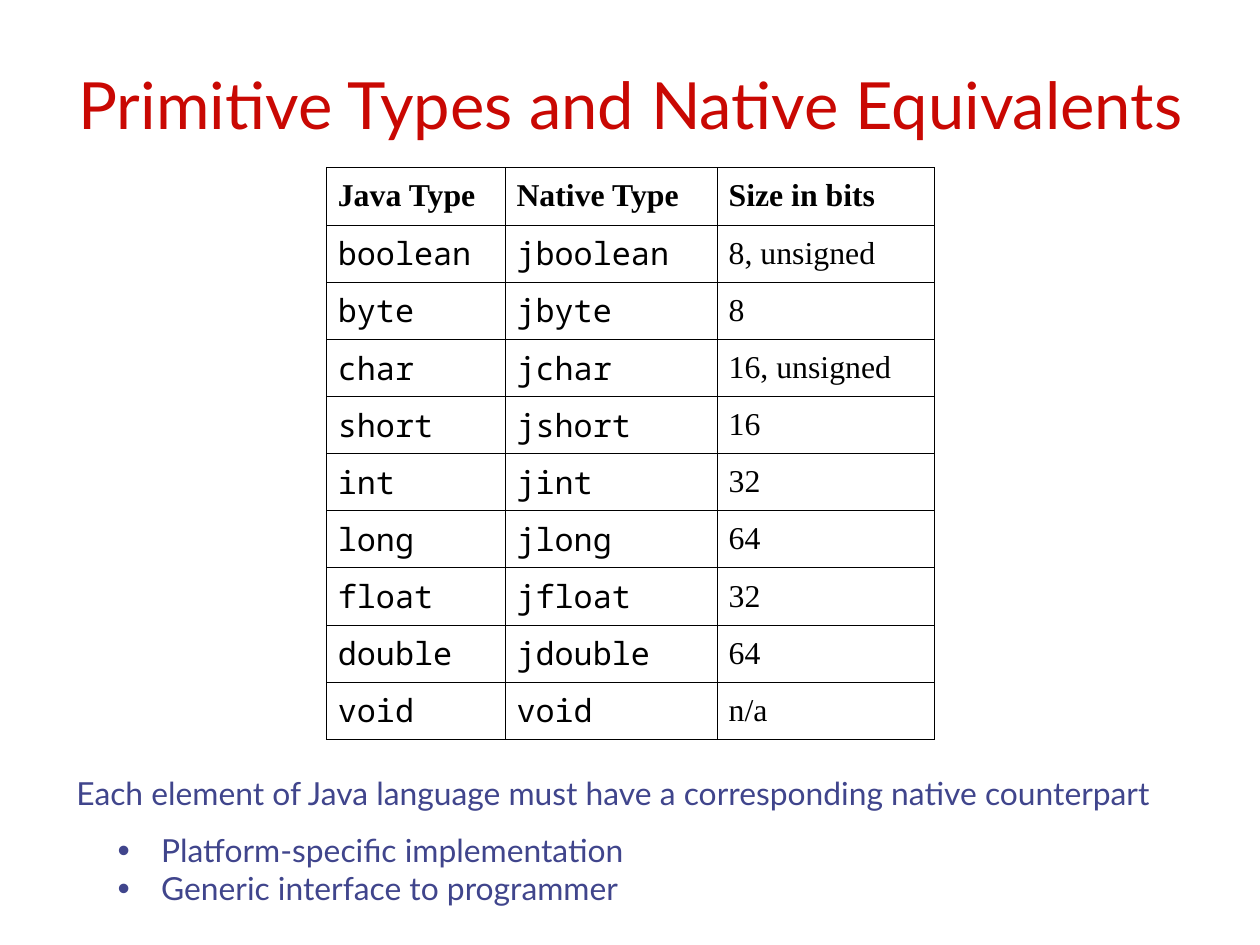
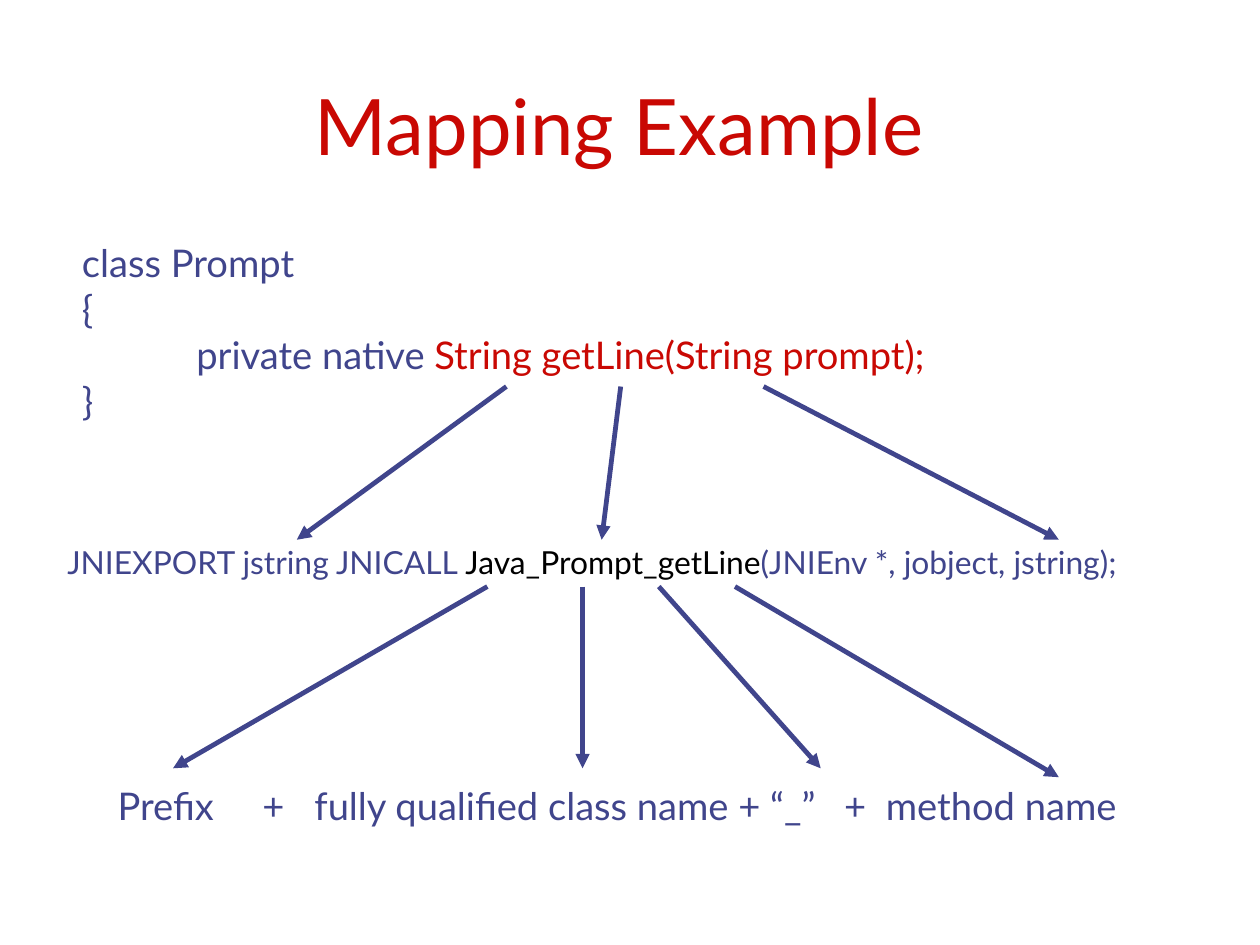
from dataclasses import dataclass

from lxml import etree
from pptx import Presentation
from pptx import util as u
from pptx.dml.color import RGBColor
from pptx.enum import shapes, text
from pptx.oxml.ns import qn

Pt = u.Pt


@dataclass(frozen=True)
class Theme:
    red: str = "C90803"
    blue: str = "40458C"
    black: str = "000000"
    sans: str = "Lato"
    serif: str = "Times New Roman"
    mono: str = "Noto Sans Mono"
    title: float = 49
    long_title: float = 41
    code: float = 24
    body: float = 20
    arrow: float = 3
    border: float = 0.34


T = Theme()
TITLE_ONLY = 5

TYPES = ["boolean", "byte", "char", "short", "int", "long", "float", "double", "void"]
SIZES = ["8, unsigned", "8", "16, unsigned", "16", "32", "64", "32", "64", "n/a"]
COLUMN_WIDTHS = [112.6, 133.6, 137]
ROW_HEIGHT = 36


def sub(parent, tag, **attrs):
    return etree.SubElement(parent, qn(tag), {k: str(v) for k, v in attrs.items()})


def add_run(p, words, size, color=T.blue, font=T.sans, bold=False):
    r = p.add_run()
    r.text = words
    r.font.size = Pt(size)
    r.font.name = font
    r.font.bold = bold
    r.font.color.rgb = RGBColor.from_string(color)


def add_titled_slide(prs, words, box, size):
    slide = prs.slides.add_slide(prs.slide_layouts[TITLE_ONLY])
    sp = slide.shapes.title
    sp.left, sp.top, sp.width, sp.height = map(Pt, box)
    tf = sp.text_frame
    tf.auto_size = text.MSO_AUTO_SIZE.NONE
    tf.word_wrap = True
    tf.vertical_anchor = text.MSO_ANCHOR.BOTTOM
    tf.margin_left = tf.margin_right = Pt(8)
    tf.margin_top = tf.margin_bottom = Pt(4)
    p = tf.paragraphs[0]
    p.alignment = text.PP_ALIGN.CENTER
    add_run(p, words, size, T.red)
    return slide


def add_text(slide, box, lines, size):
    """Each line is a list of (words, colour) runs; returns the paragraphs."""
    tf = slide.shapes.add_textbox(*map(Pt, box)).text_frame
    tf.word_wrap = True
    for i, line in enumerate(lines):
        p = tf.add_paragraph() if i else tf.paragraphs[0]
        for words, color in line:
            add_run(p, words, size, color)
    return tf.paragraphs


def indent(p, left, first=0):
    pPr = p._p.get_or_add_pPr()
    pPr.set("marL", str(Pt(left)))
    pPr.set("indent", str(Pt(first)))
    return pPr


def add_bullet(p):
    pPr = indent(p, 27.4, -27.4)
    sub(sub(pPr, "a:buClr"), "a:srgbClr", val=T.blue)
    sub(pPr, "a:buSzPct", val=110000)
    sub(pPr, "a:buFont", typeface="Arial")
    sub(pPr, "a:buChar", char="•")


def set_tabs(p, stops):
    tabs = sub(p._p.get_or_add_pPr(), "a:tabLst")
    for stop in stops:
        sub(tabs, "a:tab", pos=Pt(stop), algn="l")


def add_arrow(slide, start, end):
    line = slide.shapes.add_connector(
        shapes.MSO_CONNECTOR.STRAIGHT, *map(Pt, start + end))
    line.line.width = Pt(T.arrow)
    line.line.color.rgb = RGBColor.from_string(T.blue)
    sub(line.line._get_or_add_ln(), "a:tailEnd", type="triangle")
    sub(line._element.spPr, "a:effectLst")


def set_borders(cell):
    tcPr = cell._tc.get_or_add_tcPr()
    for i, side in enumerate(("a:lnL", "a:lnR", "a:lnT", "a:lnB")):
        ln = etree.Element(qn(side), w=str(Pt(T.border)))
        sub(sub(ln, "a:solidFill"), "a:srgbClr", val=T.black)
        tcPr.insert(i, ln)


def add_type_table(slide, left, top, rows):
    table = slide.shapes.add_table(
        len(rows), len(COLUMN_WIDTHS), Pt(left), Pt(top),
        Pt(sum(COLUMN_WIDTHS)), Pt(ROW_HEIGHT * len(rows))).table
    table.first_row = table.horz_banding = False
    for column, width in zip(table.columns, COLUMN_WIDTHS):
        column.width = Pt(width)
    for i, row in enumerate(rows):
        table.rows[i].height = Pt(ROW_HEIGHT)
        for j, words in enumerate(row):
            cell = table.cell(i, j)
            cell.vertical_anchor = text.MSO_ANCHOR.MIDDLE
            cell.fill.background()
            set_borders(cell)
            is_code = i > 0 and j < 2
            add_run(cell.text_frame.paragraphs[0], words, T.body, T.black,
                    T.mono if is_code else T.serif, bold=i == 0)


def build_types_slide(prs):
    slide = add_titled_slide(prs, "Primitive Types and Native Equivalents",
                             (13, 38.2, 769, 55.4), T.long_title)
    rows = [("Java Type", "Native Type", "Size in bits")]
    for name, size in zip(TYPES, SIZES):
        rows.append((name, name if name == "void" else "j" + name, size))
    add_type_table(slide, 205.6, 105.6, rows)
    bullets = ["Platform-specific implementation", "Generic interface to programmer"]
    for p in add_text(slide, (67, 520, 355, 55.4),
                      [[(words, T.blue)] for words in bullets], T.body):
        add_bullet(p)
    add_text(slide, (41, 484, 746, 31.7), [[(
        "Each element of Java language must have a corresponding native counterpart",
        T.blue)]], T.body)


def build_mapping_slide(prs):
    slide = add_titled_slide(prs, "Mapping Example", (52.6, 26.6, 674.6, 85), T.title)
    code = add_text(slide, (44.6, 147.6, 584, 122.4), [
        [("class Prompt", T.blue)],
        [("{", T.blue)],
        [("private native ", T.blue), ("String getLine(String prompt);", T.red)],
        [("}", T.blue)],
    ], T.code)
    indent(code[2], 72)
    add_text(slide, (35.3, 338.4, 702, 31.7), [[
        ("JNIEXPORT jstring JNICALL ", T.blue),
        ("Java_Prompt_getLine", T.black),
        ("(JNIEnv *, jobject, jstring);", T.blue)]], T.body)
    parts = add_text(slide, (67, 489.6, 707.8, 36), [[(
        "Prefix\t+\tfully qualified class name + “_”\t+\tmethod name", T.blue)]], T.code)
    set_tabs(parts[0], [91.2, 124, 457.6, 484])

    for x1, x2 in [(319, 187), (391, 379), (481, 667)]:
        add_arrow(slide, (x1, 243.5), (x2, 340))
    for x1, x2, y2 in [(307, 109, 484), (367, 367, 484), (415, 517, 484), (463, 667, 489.6)]:
        add_arrow(slide, (x1, 369.5), (x2, y2))


def main():
    prs = Presentation()
    prs.slide_width, prs.slide_height = Pt(793.7), Pt(595.3)
    build_types_slide(prs)
    build_mapping_slide(prs)
    prs.save("out.pptx")


if __name__ == "__main__":
    main()
